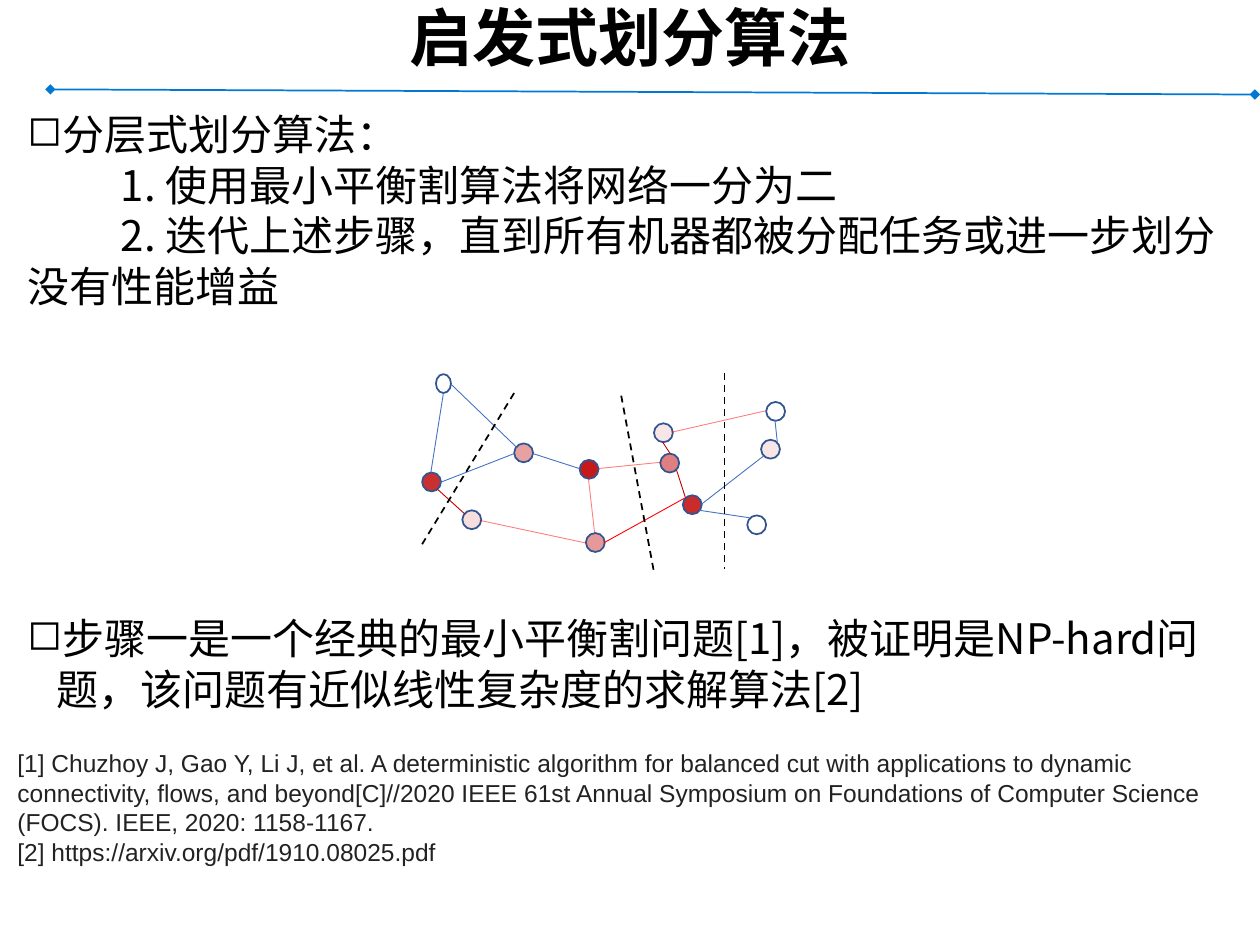
"""Build the slide on heuristic graph partitioning."""
from typing import NamedTuple

from lxml.etree import SubElement
from pptx import Presentation
from pptx.dml.color import RGBColor
from pptx.enum.dml import MSO_LINE_DASH_STYLE as Dash
from pptx.enum.shapes import MSO_CONNECTOR as Connector, MSO_SHAPE as Shape
from pptx.enum.text import MSO_ANCHOR as Anchor, PP_ALIGN as Align
from pptx.oxml.ns import qn
from pptx.util import Pt

CJK = "Noto Sans CJK SC"
BLACK, BLUE, DARK_RED, RED = "000000", "4472C4", "C00000", "FF0000"


class Node(NamedTuple):
    left: float
    top: float
    load: int = 0
    width: float = 10.8


class Line(NamedTuple):
    x1: float
    y1: float
    x2: float
    y2: float
    color: str = BLUE
    opacity: int = 100


class Item(NamedTuple):
    text: str
    bulleted: bool = False


class TextBlock(NamedTuple):
    left: float
    top: float
    width: float
    height: float
    items: list[Item]
    size: float = 24
    font: str = CJK
    color: str = BLACK
    pitch: float | None = 28.9


NODES = [
    Node(427, 294.5), Node(377.3, 259.2, 50), Node(390.2, 283, 83),
    Node(437.8, 229.7), Node(373.7, 241.9, 10), Node(434.9, 251.3, 10),
    Node(249.1, 213.8, width=8.6), Node(241.2, 270, 81), Node(264.2, 291.6, 13),
    Node(293.8, 253.4, 37), Node(334.8, 304.6, 40), Node(331.2, 262.8, 90),
]
EDGES = [
    Line(399.6, 291.6, 428.4, 295.9),
    Line(391.7, 284.4, 386.6, 268.6, DARK_RED),
    Line(436.3, 260.6, 401, 288),
    Line(383.8, 247, 437.8, 234.7, RED, 50),
    Line(444.2, 252.7, 442.8, 239.8),
    Line(246.2, 270, 253.4, 224.6),
    Line(265.7, 293.8, 249.8, 279.4, DARK_RED),
    Line(293.8, 259.2, 251.3, 275.8),
    Line(339.8, 304.6, 336.2, 272.9, RED, 50),
    Line(331.2, 267.8, 304.6, 259.2),
    Line(295.2, 255.6, 257.8, 219.6),
    Line(334.8, 310.3, 274.3, 297.4, RED, 50),
    Line(341.3, 267.8, 377.3, 264.2, RED, 50),
    Line(344.9, 310.3, 391.7, 284.4, RED),
    Line(383, 259.2, 378.7, 252.7, DARK_RED),
]
CUTS = [
    Line(293.8, 224.6, 241.2, 311, BLACK),
    Line(355, 226.1, 373.7, 326.9, BLACK),
    Line(414, 213.1, 414, 325.4, BLACK),
]
DIVIDER = Line(28.8, 51.1, 717.1, 54, "0078D4")
TEXT_BLOCKS = [
    TextBlock(8.6, 58.3, 698.4, 152.6, [
        Item("分层式划分算法：", True),
        Item("\t1. 使用最小平衡割算法将网络一分为二"),
        Item("\t2. 迭代上述步骤，直到所有机器都被分配任务或进一步划分\t没有性能增益"),
    ]),
    TextBlock(8.6, 346.3, 697, 65.5, [
        Item("步骤一是一个经典的最小平衡割问题[1]，被证明是NP-hard问题，"
             "该问题有近似线性复杂度的求解算法[2]", True),
    ]),
    TextBlock(2.9, 424.1, 715, 74.9, [
        Item("[1] Chuzhoy J, Gao Y, Li J, et al. A deterministic algorithm for balanced cut "
             "with applications to dynamic connectivity, flows, and beyond[C]//2020 IEEE 61st "
             "Annual Symposium on Foundations of Computer Science (FOCS). IEEE, 2020: 1158-1167."),
        Item("[2] https://arxiv.org/pdf/1910.08025.pdf"),
    ], 14, "Arial", "222222", None),
]


def paint(color_format, color: str, opacity: int = 100) -> None:
    """Apply a hex colour and an opacity in percent to a solid fill."""
    color_format.rgb = RGBColor.from_string(color)
    if opacity < 100:
        holder = color_format._xFill.find(qn("a:srgbClr"))
        SubElement(holder, qn("a:alpha"), val=str(opacity * 1000))


def style_runs(paragraph, size: float, font: str, color: str, bold: bool = False) -> None:
    """Format every run of a paragraph for Latin and East Asian text."""
    for run in paragraph.runs:
        run.font.size, run.font.name, run.font.bold = Pt(size), font, bold
        paint_solid(run.font.fill, color)
        SubElement(run.font._element.get_or_add_rPr() if hasattr(run.font._element, "get_or_add_rPr")
                   else run._r.get_or_add_rPr(), qn("a:ea"), typeface=font)


def paint_solid(fill, color: str, opacity: int = 100) -> None:
    """Make a fill solid in the given hex colour."""
    fill.solid()
    fill.fore_color.rgb = RGBColor.from_string(color)
    if opacity < 100:
        for holder in fill._xPr.iterfind(f"{qn('a:solidFill')}/{qn('a:srgbClr')}"):
            SubElement(holder, qn("a:alpha"), val=str(opacity * 1000))


def draw_text(slide, block: TextBlock) -> None:
    """Draw a wrapped text block with optional bullets."""
    frame = slide.shapes.add_textbox(
        Pt(block.left), Pt(block.top), Pt(block.width), Pt(block.height)).text_frame
    frame.word_wrap = True
    frame.text = "\n".join(item.text for item in block.items)
    for paragraph, item in zip(frame.paragraphs, block.items):
        if block.pitch:
            paragraph.line_spacing = Pt(block.pitch)
        properties = paragraph._p.get_or_add_pPr()
        if item.bulleted:
            properties.set("marL", str(Pt(16.5)))
            properties.set("indent", str(Pt(-16.5)))
            SubElement(properties, qn("a:buChar"), char="◻")
        elif "\t" in item.text:
            stops = SubElement(properties, qn("a:tabLst"))
            SubElement(stops, qn("a:tab"), pos=str(Pt(53.5)), algn="l")
        style_runs(paragraph, block.size, block.font, block.color)


def draw_line(slide, line: Line, weight: float, dash=None, diamonds: bool = False) -> None:
    """Draw a straight connector, dashed or with diamond ends on request."""
    connector = slide.shapes.add_connector(
        Connector.STRAIGHT, Pt(line.x1), Pt(line.y1), Pt(line.x2), Pt(line.y2))
    stroke = connector.line
    stroke.width = Pt(weight)
    stroke_element = stroke._get_or_add_ln()
    paint_solid(stroke.fill, line.color, line.opacity)
    if dash:
        stroke.dash_style = dash
    if diamonds:
        for end in ("a:headEnd", "a:tailEnd"):
            SubElement(stroke_element, qn(end), type="diamond")
    SubElement(connector._element.spPr, qn("a:effectLst"))


def draw_node(slide, node: Node) -> None:
    """Draw a graph node whose red opacity shows its load."""
    circle = slide.shapes.add_shape(
        Shape.OVAL, Pt(node.left), Pt(node.top), Pt(node.width), Pt(10.8))
    circle.shadow.inherit = False
    if node.load:
        paint_solid(circle.fill, DARK_RED, node.load)
    else:
        circle.fill.background()
    paint_solid(circle.line.fill, "325491")
    circle.line.width = Pt(1)


def draw_title(slide, text: str) -> None:
    """Place and format the title placeholder."""
    title = slide.shapes.title
    title.left, title.top, title.width, title.height = Pt(0), Pt(2.2), Pt(720), Pt(136.8)
    frame = title.text_frame
    frame.text = text
    frame.vertical_anchor = Anchor.TOP
    heading = frame.paragraphs[0]
    heading.alignment, heading.line_spacing = Align.CENTER, 0.85
    style_runs(heading, 36, CJK, BLACK, True)


def main() -> None:
    """Assemble and save the slide."""
    deck = Presentation()
    deck.slide_width, deck.slide_height = Pt(720), Pt(540)
    slide = deck.slides.add_slide(deck.slide_layouts[5])
    draw_title(slide, "启发式划分算法")
    for block in TEXT_BLOCKS:
        draw_text(slide, block)
    draw_line(slide, DIVIDER, 1, diamonds=True)
    for node in NODES:
        draw_node(slide, node)
    for edge in EDGES:
        draw_line(slide, edge, 0.5)
    for cut in CUTS:
        draw_line(slide, cut, 1, Dash.DASH)
    deck.save("out.pptx")


if __name__ == "__main__":
    main()
